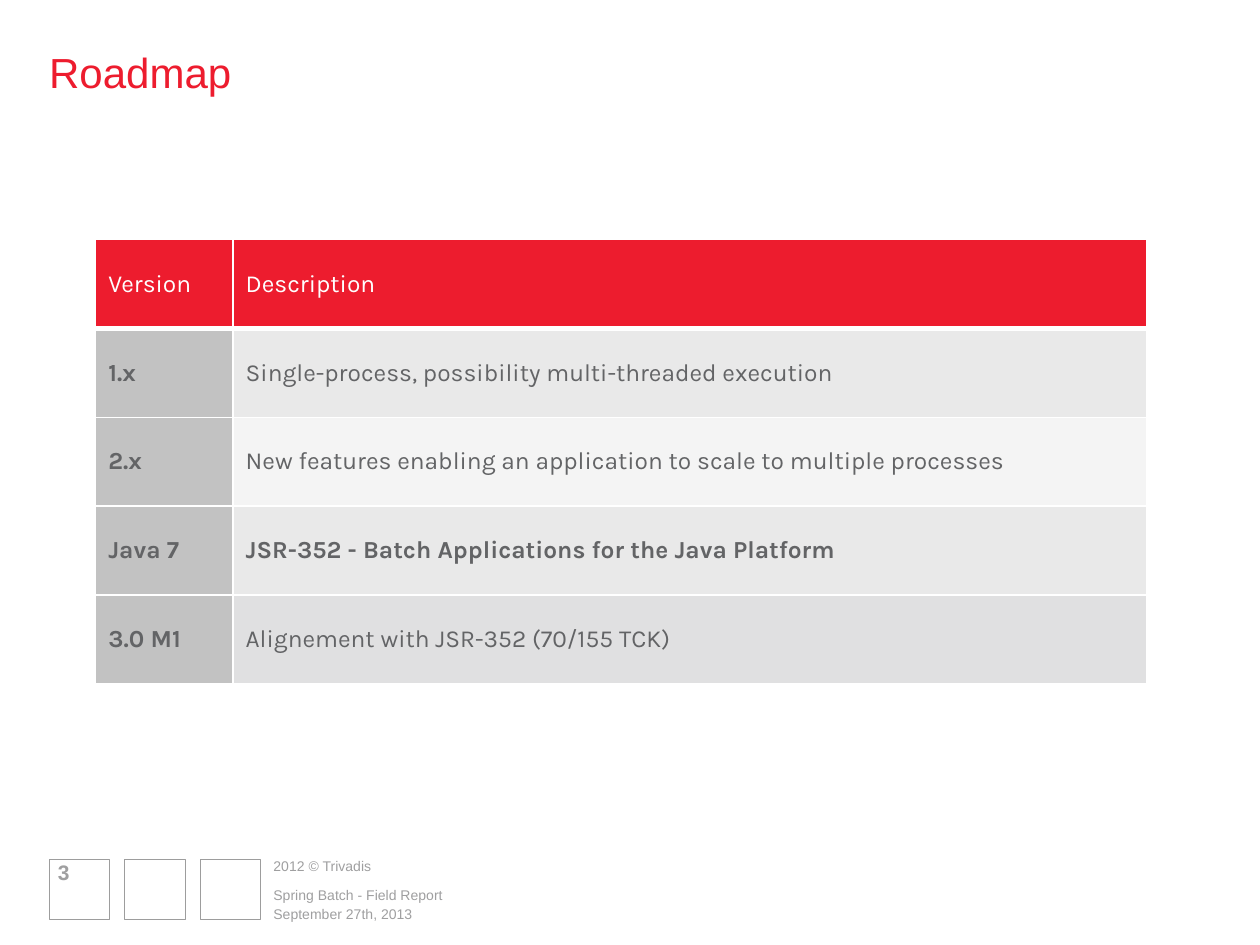
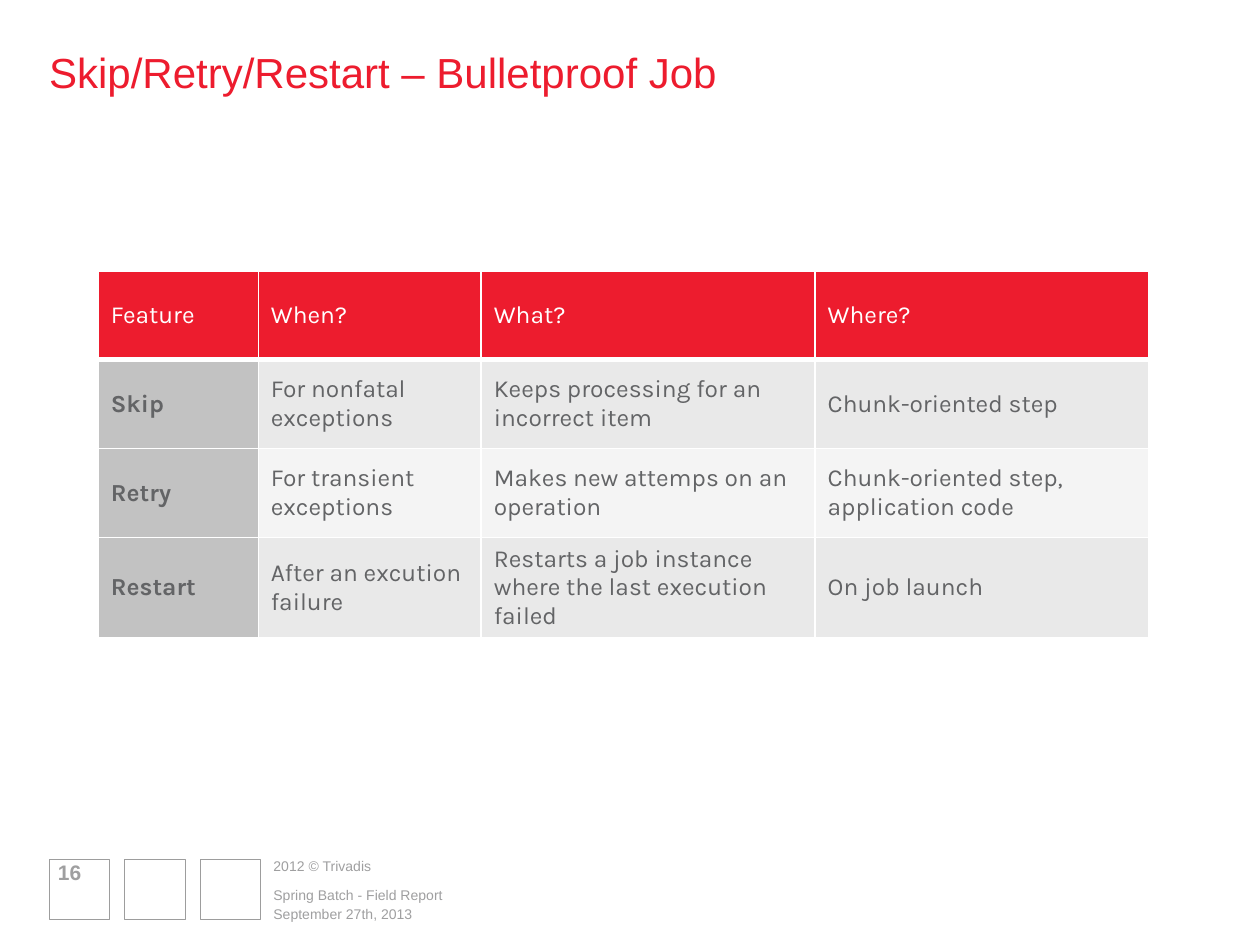
from lxml.etree import SubElement
from pptx import Presentation
from pptx.dml.color import RGBColor
from pptx.enum.shapes import MSO_SHAPE
from pptx.enum.text import MSO_ANCHOR
from pptx.oxml.ns import qn
from pptx.util import Inches, Pt

RED = RGBColor(0xED, 0x1C, 0x2E)
WHITE = RGBColor(0xFF, 0xFF, 0xFF)
INK = RGBColor(0x63, 0x64, 0x66)
GREY = RGBColor(0x9F, 0x9F, 0xA0)
FRAME = RGBColor(0x9D, 0x9D, 0x9D)
LABEL = RGBColor(0xC2, 0xC2, 0xC2)
DARK = RGBColor(0xE9, 0xE9, 0xE9)
LIGHT = RGBColor(0xF4, 0xF4, 0xF4)
LAST = RGBColor(0xE0, 0xE0, 0xE1)

TITLE = {"name": "Arial", "size": Pt(24), "bold": False}
SMALL = {"name": "Arial", "size": Pt(8), "bold": False}
NUMBER = {"name": "Arial", "size": Pt(12), "bold": True}
CELL = {"name": "Karla", "size": Pt(14), "bold": False}
STRONG = {**CELL, "bold": True}

TOP, MIDDLE, BOTTOM = MSO_ANCHOR.TOP, MSO_ANCHOR.MIDDLE, MSO_ANCHOR.BOTTOM

PAGES = [
    {
        "title": "Roadmap",
        "number": "3",
        "place": (0.76, 1.9, 8.34, 3.53),
        "widths": [1.09, 7.25],
        "bands": [DARK, LIGHT, DARK, LAST],
        "strong": "Java 7",
        "rows": [
            ["Version", "Description"],
            ["1.x", "Single-process, possibility multi-threaded execution"],
            ["2.x", "New features enabling an application to scale to multiple processes"],
            ["Java 7", "JSR-352 - Batch Applications for the Java Platform"],
            ["3.0 M1", "Alignement with JSR-352 (70/155 TCK)"],
        ],
    },
    {
        "title": "Skip/Retry/Restart – Bulletproof Job",
        "number": "16",
        "place": (0.78, 2.15, 8.34, 2.82),
        "widths": [1.27, 1.77, 2.65, 2.65],
        "bands": [DARK, LIGHT, DARK],
        "strong": None,
        "rows": [
            ["Feature", "When?", "What?", "Where?"],
            ["Skip", "For nonfatal exceptions", "Keeps processing for an incorrect item",
             "Chunk-oriented step"],
            ["Retry", "For transient exceptions", "Makes new attemps on an operation",
             "Chunk-oriented step, application code"],
            ["Restart", "After an excution failure",
             "Restarts a job instance where the last execution failed", "On job launch"],
        ],
    },
]


def write(frame, text, style, color):
    para = frame.paragraphs[0]
    run = para.add_run()
    run.text = text
    for key, value in style.items():
        setattr(run.font, key, value)
    run.font.color.rgb = color


def border(cell, row):
    props = cell._tc.get_or_add_tcPr()
    for side in "LRTB":
        thick = (row, side) in [(0, "B"), (1, "T")]
        line = SubElement(props, qn(f"a:ln{side}"), w=str(Pt(3 if thick else 1)))
        fill = SubElement(line, qn("a:solidFill"))
        SubElement(fill, qn("a:srgbClr"), val=str(WHITE))


deck = Presentation()
deck.slide_width = Inches(10)
deck.slide_height = Inches(7.5)

for page in PAGES:
    slide = deck.slides.add_slide(deck.slide_layouts[6])

    for index in range(3):
        square = slide.shapes.add_shape(
            MSO_SHAPE.RECTANGLE, Inches(0.39 + index * 0.6), Inches(6.82), Inches(0.48), Inches(0.48))
        square.shadow.inherit = False
        square.fill.background()
        square.line.color.rgb = FRAME
        square.line.width = Pt(0.75)

    for text, place, anchor, style, color in [
        (page["title"], (0.39, 0.37, 9.22, 0.4), TOP, TITLE, RED),
        ("2012 © Trivadis", (2.17, 6.8, 1.35, 0.15), MIDDLE, SMALL, GREY),
        ("Spring Batch - Field Report", (2.17, 6.99, 5.36, 0.18), BOTTOM, SMALL, GREY),
        ("September 27th, 2013", (2.17, 7.14, 5.36, 0.18), BOTTOM, SMALL, GREY),
        (page["number"], (0.46, 6.84, 0.48, 0.17), MIDDLE, NUMBER, GREY),
    ]:
        frame = slide.shapes.add_textbox(*map(Inches, place)).text_frame
        for side in ("left", "right", "top", "bottom"):
            setattr(frame, f"margin_{side}", 0)
        frame.word_wrap = True
        frame.vertical_anchor = anchor
        write(frame, text, style, color)

    rows, widths = page["rows"], page["widths"]
    table = slide.shapes.add_table(len(rows), len(widths), *map(Inches, page["place"])).table
    table.horz_banding = False
    for column, width in zip(table.columns, widths):
        column.width = Inches(width)

    fills = [RED] + page["bands"]
    for r, row in enumerate(rows):
        for c, text in enumerate(row):
            cell = table.cell(r, c)
            border(cell, r)
            cell.fill.solid()
            cell.fill.fore_color.rgb = LABEL if r and c == 0 else fills[r]
            cell.vertical_anchor = MIDDLE
            strong = r and (c == 0 or row[0] == page["strong"])
            write(cell.text_frame, text, STRONG if strong else CELL, INK if r else WHITE)

deck.save("out.pptx")
